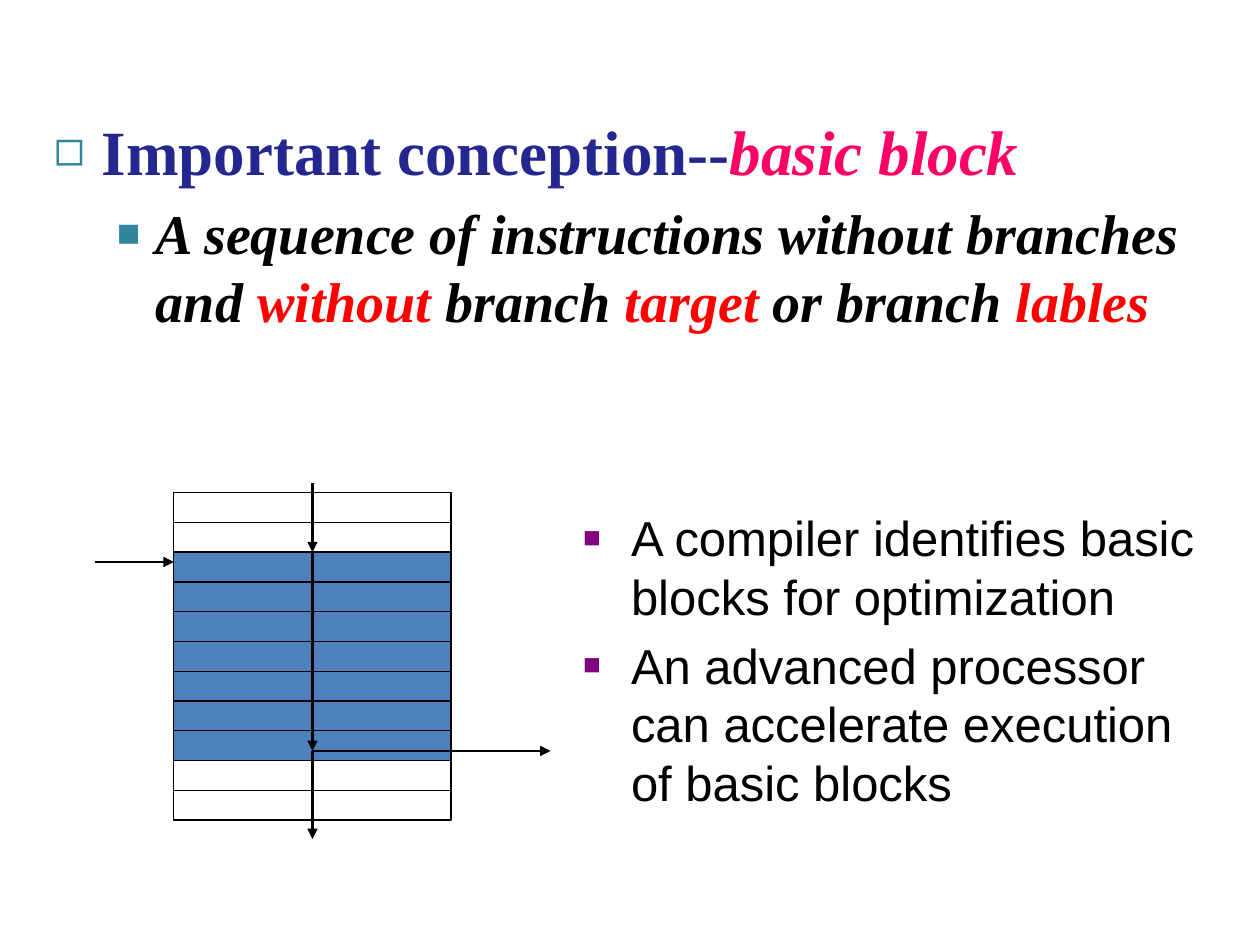
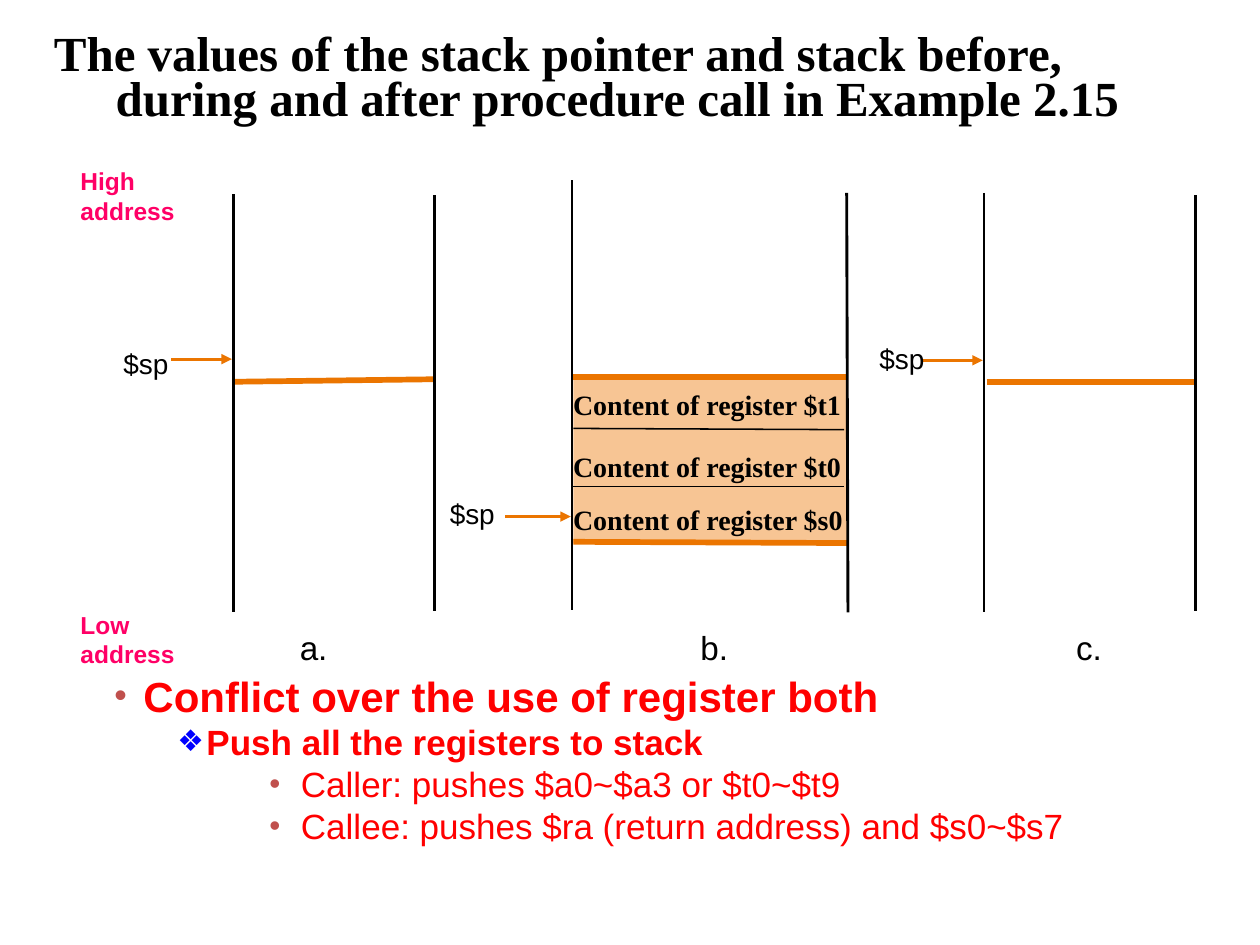
"""Build two slides on basic blocks and on the stack around a procedure call."""
from dataclasses import dataclass
from typing import NamedTuple, Optional

import lxml.etree
import pptx
import pptx.dml.color
import pptx.enum.shapes
import pptx.enum.text
import pptx.oxml.ns
import pptx.util

Inches = pptx.util.Inches
Pt = pptx.util.Pt
qn = pptx.oxml.ns.qn


@dataclass(frozen=True)
class Theme:
    serif: str = "Times New Roman"
    sans: str = "Arial"
    black: str = "000000"
    navy: str = "242790"
    pink: str = "FF0066"
    red: str = "FF0000"
    teal: str = "31859C"
    purple: str = "800080"
    brick: str = "C0504D"
    blue: str = "0000FF"
    block_fill: str = "4F81BD"
    stack_fill: str = "F7C594"
    orange: str = "EB7500"
    heading: float = 36
    subheading: float = 32
    title: float = 28
    conclusion: float = 24
    detail: float = 20
    caption: float = 19
    label: float = 16
    address: float = 14
    row_line: float = 0.75
    divider_line: float = 0.88
    flow_line: float = 1.5
    wall_line: float = 1.63
    edge_line: float = 3.25


THEME = Theme()


class Bullet(NamedTuple):
    symbol: str
    color: str
    percent: int


class Span(NamedTuple):
    text: str
    color: str
    italic: bool = False


@dataclass(frozen=True)
class Para:
    spans: tuple[Span, ...]
    size: float
    font: str = THEME.sans
    bold: bool = False
    bullet: Optional[Bullet] = None
    margin: float = 0
    indent: float = 0
    level: int = 0
    space_before: float = 0
    line_points: Optional[float] = None


class Stroke(NamedTuple):
    color: str
    width: float
    arrow: bool = False


class Line(NamedTuple):
    x1: float
    y1: float
    x2: float
    y2: float
    stroke: Stroke


class Label(NamedTuple):
    text: str
    left: float
    top: float


def rgb(color: str) -> pptx.dml.color.RGBColor:
    """Turn a hex string into a colour."""
    return pptx.dml.color.RGBColor.from_string(color)


def add_bullet(properties, bullet: Optional[Bullet]) -> None:
    """Write the bullet of a paragraph."""
    if bullet is None:
        lxml.etree.SubElement(properties, qn("a:buNone"))
        return
    color = lxml.etree.SubElement(properties, qn("a:buClr"))
    lxml.etree.SubElement(color, qn("a:srgbClr"), val=bullet.color)
    lxml.etree.SubElement(properties, qn("a:buSzPct"), val=str(bullet.percent * 1000))
    lxml.etree.SubElement(properties, qn("a:buFont"), typeface=THEME.sans)
    lxml.etree.SubElement(properties, qn("a:buChar"), char=bullet.symbol)


def fill_paragraph(paragraph, para: Para) -> None:
    """Write one paragraph with its layout, font and spans."""
    paragraph.level = para.level
    properties = paragraph._p.get_or_add_pPr()
    properties.set("marL", str(Inches(para.margin)))
    properties.set("indent", str(Inches(para.indent)))
    add_bullet(properties, para.bullet)
    paragraph.space_before = Pt(para.space_before)
    if para.line_points:
        paragraph.line_spacing = Pt(para.line_points)
    paragraph.font.name = para.font
    paragraph.font.size = Pt(para.size)
    paragraph.font.bold = para.bold
    first = para.spans[0]
    uniform = all(span[1:] == first[1:] for span in para.spans)
    if uniform:
        paragraph.font.color.rgb = rgb(first.color)
        paragraph.font.italic = first.italic
    for span in para.spans:
        for number, text in enumerate(span.text.split("\n")):
            if number:
                paragraph.add_line_break()
            run = paragraph.add_run()
            run.text = text
            if not uniform:
                run.font.color.rgb = rgb(span.color)
                run.font.italic = span.italic


def add_text(page, left: float, top: float, width: float, height: float,
             paras: list[Para], wrap: bool = True, inset: bool = True,
             middle: bool = False) -> None:
    """Add a text box holding the given paragraphs."""
    box = page.shapes.add_textbox(Inches(left), Inches(top), Inches(width), Inches(height))
    frame = box.text_frame
    frame.word_wrap = wrap
    if middle:
        frame.vertical_anchor = pptx.enum.text.MSO_ANCHOR.MIDDLE
    if not inset:
        frame.margin_left = frame.margin_right = 0
        frame.margin_top = frame.margin_bottom = 0
    for number, para in enumerate(paras):
        fill_paragraph(frame.add_paragraph() if number else frame.paragraphs[0], para)


def add_rectangle(page, left: float, top: float, width: float, height: float,
                  fill: Optional[str], stroke: Optional[Stroke]):
    """Add a flat rectangle with optional fill and outline."""
    box = page.shapes.add_shape(pptx.enum.shapes.MSO_SHAPE.RECTANGLE, Inches(left),
                                Inches(top), Inches(width), Inches(height))
    box.shadow.inherit = False
    if fill:
        box.fill.solid()
        box.fill.fore_color.rgb = rgb(fill)
    else:
        box.fill.background()
    if stroke:
        box.line.color.rgb = rgb(stroke.color)
        box.line.width = Pt(stroke.width)
    else:
        box.line.fill.background()
    return box


def add_line(page, line: Line):
    """Add a straight line, with an arrowhead if its stroke has one."""
    connector = page.shapes.add_connector(
        pptx.enum.shapes.MSO_CONNECTOR.STRAIGHT, Inches(line.x1), Inches(line.y1),
        Inches(line.x2), Inches(line.y2))
    connector.line.color.rgb = rgb(line.stroke.color)
    connector.line.width = Pt(line.stroke.width)
    if line.stroke.arrow:
        lxml.etree.SubElement(connector.line._get_or_add_ln(), qn("a:tailEnd"),
                              type="triangle")
    lxml.etree.SubElement(connector._element.spPr, qn("a:effectLst"))
    return connector


def build_basic_block(page) -> None:
    """Draw the definition of a basic block and its instruction rows."""
    black, red = THEME.black, THEME.red
    add_text(page, 0.33, 0.84, 9.34, 2.2, [
        Para((Span("Important conception--", THEME.navy), Span("basic block", THEME.pink, True)),
             THEME.heading, THEME.serif, True, Bullet("◻", THEME.teal, 80),
             0.38, -0.38, space_before=7.2),
        Para((Span("A sequence of instructions without branches and ", black, True),
              Span("without", red, True), Span(" branch ", black, True),
              Span("target", red, True), Span(" or branch ", black, True),
              Span("lables", red, True)),
             THEME.subheading, THEME.serif, True, Bullet("■", THEME.teal, 70),
             0.81, -0.31, 1, 6.4)])

    left, top, width, row_count = 1.38, 3.91, 2.2, 11
    row_height = 2.6 / row_count
    block_rows = range(2, 9)
    outline = Stroke(black, THEME.row_line)
    rows = [add_rectangle(page, left, top + number * row_height, width, row_height,
                          THEME.block_fill if number in block_rows else None, outline)
            for number in range(row_count)]

    flow = Stroke(black, THEME.flow_line, True)
    center, block_top, branch = left + width / 2, top + 2 * row_height, 5.96
    entering = add_line(page, Line(center, 3.83, center, block_top, flow))
    entering.end_connect(rows[block_rows[0]], 0)
    running = add_line(page, Line(center, block_top, center, branch, flow))
    running.begin_connect(rows[block_rows[0]], 0)
    for line in (Line(center, branch, center, 6.66, flow),
                 Line(center, branch, 4.37, branch, flow),
                 Line(0.75, 4.46, left, 4.46, flow)):
        add_line(page, line)

    add_text(page, 4.53, 3.98, 5.11, 2.6, [
        Para((Span(text, black),), THEME.title, bullet=Bullet("■", THEME.purple, 60),
             margin=0.38, indent=-0.38, space_before=5.6)
        for text in ("A compiler identifies basic blocks for optimization",
                     "An advanced processor can accelerate execution of basic blocks")])


def build_stack(page) -> None:
    """Draw the stack before, during and after a procedure call."""
    black, red = THEME.black, THEME.red
    add_text(page, 0.33, 0.02, 9.34, 1.25, [
        Para((Span("The values of the stack pointer and stack before,\n"
                   "during and after procedure call in Example 2.15", black),),
             THEME.title, THEME.serif, True, margin=0.49, indent=-0.49, line_points=26)],
        middle=True)

    add_rectangle(page, 4.55, 2.99, 2.18, 1.32, THEME.stack_fill, None)
    edge = Stroke(THEME.orange, THEME.edge_line)
    divider = Stroke(black, THEME.divider_line)
    wall = Stroke(black, THEME.wall_line)
    pointer = Stroke(THEME.orange, THEME.wall_line, True)
    for line in (
            Line(4.55, 2.99, 6.73, 2.99, edge), Line(4.55, 4.3, 6.73, 4.31, edge),
            Line(7.83, 3.03, 9.49, 3.03, edge), Line(1.85, 3.03, 3.45, 3.01, edge),
            Line(4.55, 3.4, 6.7, 3.41, divider), Line(4.55, 3.86, 6.7, 3.86, divider),
            Line(1.85, 1.54, 1.85, 4.86, wall), Line(3.45, 1.55, 3.45, 4.85, wall),
            Line(4.54, 1.43, 4.54, 4.84, wall), Line(6.72, 1.53, 6.73, 4.86, wall),
            Line(7.81, 1.53, 7.81, 4.86, wall), Line(9.49, 1.55, 9.49, 4.85, wall),
            Line(1.36, 2.85, 1.84, 2.85, pointer), Line(4.01, 4.1, 4.53, 4.1, pointer),
            Line(7.32, 2.86, 7.8, 2.86, pointer)):
        add_line(page, line)

    for register, top in (("$t1", 3.03), ("$t0", 3.52), ("$s0", 3.94)):
        add_text(page, 4.45, top, 2.36, 0.33, [
            Para((Span(f"Content of register {register}", black),),
                 THEME.label, THEME.serif, True)])
    for left, top in ((0.98, 2.75), (3.57, 3.94), (6.98, 2.71)):
        add_text(page, left, top, 0.36, 0.24, [Para((Span("$sp", black),), THEME.label)],
                 wrap=False, inset=False)
    for label in (Label("a.", 2.38, 4.98), Label("b.", 5.56, 4.98), Label("c.", 8.54, 4.98)):
        add_text(page, label.left, label.top, 0.4, 0.28,
                 [Para((Span(label.text, black),), THEME.caption)], inset=False)
    for label in (Label("High address", 0.54, 1.27), Label("Low address", 0.54, 4.79)):
        add_text(page, label.left, label.top, 1.15, 0.53,
                 [Para((Span(label.text, THEME.pink),), THEME.address, bold=True)])

    dot = Bullet("•", THEME.brick, 85)
    small_dot = Bullet("•", THEME.brick, 90)
    diamond = Bullet("❖", THEME.blue, 85)
    add_text(page, 0.54, 5.27, 8.55, 1.51, [
        Para((Span("Conflict over the use of register both", red),), THEME.conclusion,
             bold=True, bullet=dot, margin=0.5, indent=-0.23, level=1),
        Para((Span("Push all the registers to stack", red),), THEME.detail,
             bold=True, bullet=diamond, margin=1, indent=-0.23, level=2),
        *(Para((Span(text, red),), THEME.detail, bullet=small_dot,
               margin=1.75, indent=-0.25, level=3)
          for text in ("Caller: pushes $a0~$a3 or $t0~$t9",
                       "Callee: pushes $ra (return address) and $s0~$s7"))])


def main() -> None:
    """Build and save the deck."""
    deck = pptx.Presentation()
    deck.slide_width, deck.slide_height = Inches(10), Inches(7.5)
    for build in (build_basic_block, build_stack):
        build(deck.slides.add_slide(deck.slide_layouts[6]))
    deck.save("out.pptx")


if __name__ == "__main__":
    main()
